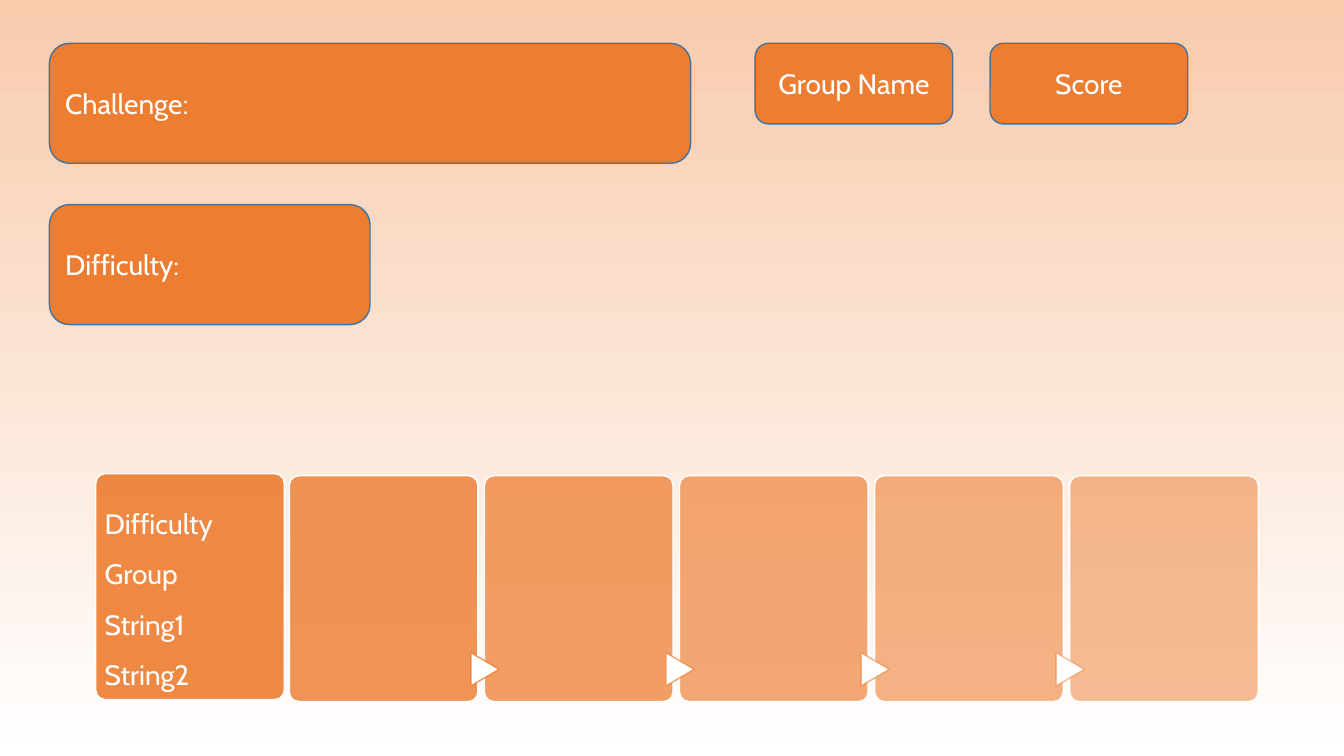
from dataclasses import dataclass
from typing import Optional

from lxml.etree import SubElement
from pptx import Presentation
from pptx.dml.color import RGBColor
from pptx.enum.shapes import MSO_SHAPE
from pptx.enum.text import MSO_ANCHOR, PP_ALIGN
from pptx.oxml.ns import qn
from pptx.util import Inches, Pt


@dataclass(frozen=True)
class Theme:
    orange: RGBColor = RGBColor(0xED, 0x7D, 0x31)
    outline: RGBColor = RGBColor(0x43, 0x73, 0x9E)
    white: RGBColor = RGBColor(0xFF, 0xFF, 0xFF)
    peach: RGBColor = RGBColor(0xF8, 0xCB, 0xAD)
    font: str = "Cabin"
    colon_font: str = "Roboto Slab"
    text_size: float = 20
    colon_size: float = 18
    line_width: float = 1


@dataclass(frozen=True)
class Box:
    left: float
    top: float
    width: float
    height: float


@dataclass(frozen=True)
class Label:
    text: str
    box: Box
    align: PP_ALIGN = PP_ALIGN.LEFT


@dataclass(frozen=True)
class Card:
    box: Box
    opacity: int
    arrow_opacity: Optional[int] = None


THEME = Theme()

CHALLENGE = Label("Challenge", Box(0.49, 0.43, 6.36, 1.19))
LABELS = [
    Label("Difficulty:", Box(0.49, 2.03, 3.18, 1.19)),
    Label("Group Name", Box(7.49, 0.43, 1.96, 0.8), PP_ALIGN.CENTER),
    Label("Score", Box(9.82, 0.43, 1.96, 0.8), PP_ALIGN.CENTER),
]

CARD_WIDTH, CARD_HEIGHT = 1.87, 2.24
SECOND_CARD_LEFT, LAST_CARD_LEFT = 2.87, 10.61
CARD_STEP = (LAST_CARD_LEFT - SECOND_CARD_LEFT) / 4
CARDS = [Card(Box(0.95, 4.7, CARD_WIDTH, CARD_HEIGHT), 90)] + [
    Card(
        Box(SECOND_CARD_LEFT + index * CARD_STEP, 4.72, CARD_WIDTH, CARD_HEIGHT),
        82 - 8 * index,
        90 - 10 * index if index else None,
    )
    for index in range(5)
]
DETAILS_BOX = Box(0.94, 4.81, 1.92, 2.06)
DETAILS = ["Difficulty", "Group", "String1", "String2"]


def place(box: Box) -> tuple:
    return tuple(Inches(value) for value in (box.left, box.top, box.width, box.height))


def set_opacity(color_parent, percent: int) -> None:
    color = color_parent.find(qn("a:solidFill")).find(qn("a:srgbClr"))
    SubElement(color, qn("a:alpha")).set("val", str(percent * 1000))


def add_block(slide, kind: MSO_SHAPE, box: Box, fill: RGBColor, line: RGBColor):
    shape = slide.shapes.add_shape(kind, *place(box))
    shape.shadow.inherit = False
    shape.fill.solid()
    shape.fill.fore_color.rgb = fill
    shape.line.color.rgb = line
    shape.line.width = Pt(THEME.line_width)
    return shape


def write(
    paragraph,
    text: str,
    *,
    font: str = THEME.font,
    size: float = THEME.text_size,
    color: RGBColor = THEME.white,
    align: PP_ALIGN = PP_ALIGN.LEFT,
    spacing: Optional[float] = None,
) -> None:
    run = paragraph.add_run()
    run.text = text
    run.font.name = font
    run.font.size = Pt(size)
    run.font.color.rgb = color
    paragraph.alignment = align
    if spacing:
        paragraph.line_spacing = spacing


def add_label(slide, label: Label):
    shape = add_block(
        slide, MSO_SHAPE.ROUNDED_RECTANGLE, label.box, THEME.orange, THEME.outline
    )
    shape.text_frame.vertical_anchor = MSO_ANCHOR.MIDDLE
    paragraph = shape.text_frame.paragraphs[0]
    write(paragraph, label.text, align=label.align)
    return paragraph


def add_card(slide, card: Card) -> None:
    shape = add_block(
        slide, MSO_SHAPE.ROUNDED_RECTANGLE, card.box, THEME.orange, THEME.white
    )
    shape.adjustments[0] = 0.05
    set_opacity(shape.element.spPr, card.opacity)
    if card.arrow_opacity:
        arrow_box = Box(card.box.left - 0.16, 6.5, 0.33, 0.28)
        arrow = add_block(
            slide, MSO_SHAPE.FLOWCHART_EXTRACT, arrow_box, THEME.white, THEME.orange
        )
        arrow.rotation = 90
        set_opacity(arrow.element.spPr.find(qn("a:ln")), card.arrow_opacity)


def add_details(slide) -> None:
    frame = slide.shapes.add_textbox(*place(DETAILS_BOX)).text_frame
    frame.word_wrap = True
    for index, text in enumerate(DETAILS):
        paragraph = frame.add_paragraph() if index else frame.paragraphs[0]
        write(paragraph, text, spacing=1.5)


def paint_background(slide) -> None:
    fill = slide.background.fill
    fill.gradient()
    fill.gradient_angle = 270
    for stop, color in zip(fill.gradient_stops, (THEME.peach, THEME.white)):
        stop.color.rgb = color


def main() -> None:
    presentation = Presentation()
    presentation.slide_width = Inches(13.33)
    presentation.slide_height = Inches(7.5)
    slide = presentation.slides.add_slide(presentation.slide_layouts[6])
    paint_background(slide)
    challenge = add_label(slide, CHALLENGE)
    write(challenge, ":", font=THEME.colon_font, size=THEME.colon_size)
    for label in LABELS:
        add_label(slide, label)
    for card in CARDS:
        add_card(slide, card)
    add_details(slide)
    presentation.save("out.pptx")


if __name__ == "__main__":
    main()
